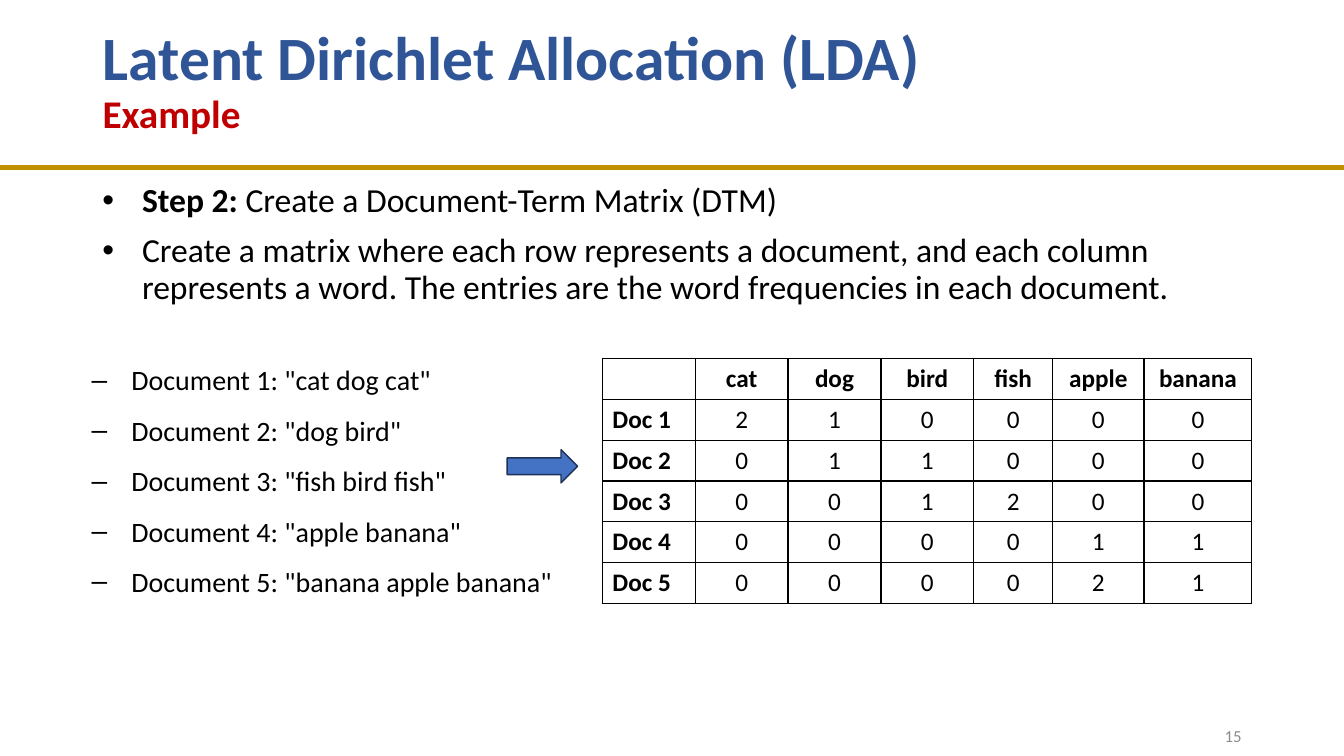
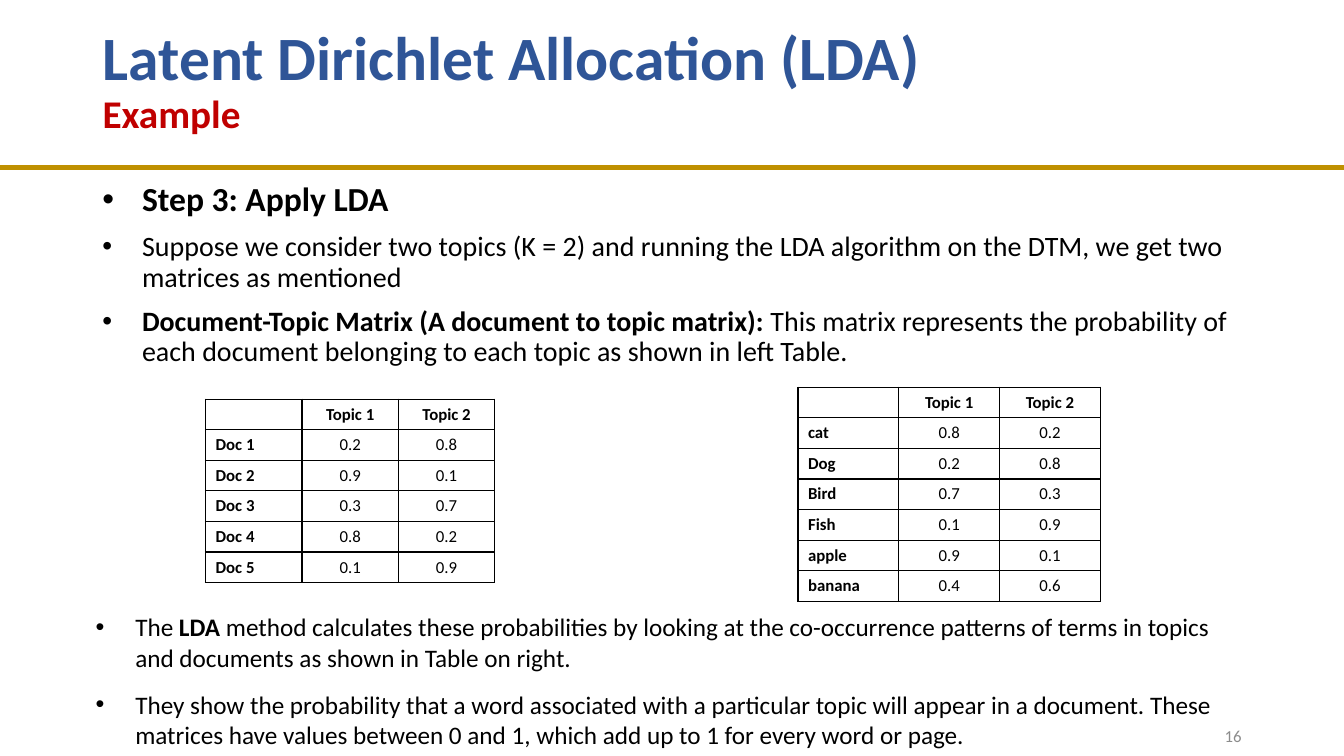
from lxml.etree import SubElement
from pptx import Presentation
from pptx.dml.color import RGBColor
from pptx.enum.shapes import MSO_CONNECTOR, MSO_SHAPE
from pptx.enum.text import MSO_ANCHOR, MSO_AUTO_SIZE, PP_ALIGN
from pptx.oxml.ns import qn
from pptx.util import Cm, Pt

FONT = "Calibri"
BLACK, WHITE = "000000", "FFFFFF"
TITLE_BLUE, SUBTITLE_RED, RULE_GOLD = "2F5597", "C00000", "BF9000"
ARROW_BLUE, ARROW_EDGE, NUMBER_GRAY = "4472C4", "1E3256", "8C8C8C"
SLIDE_WIDTH, SLIDE_HEIGHT = 33.87, 19.05
MARGIN_LEFT, CONTENT_WIDTH = 2.33, 29.21
INDENT = 1


def rgb(color):
    return RGBColor.from_string(color)


def add_text(paragraph, text, size=18, bold=False, color=BLACK):
    run = paragraph.add_run()
    run.text = text
    font = run.font
    font.name, font.size, font.bold = FONT, Pt(size), bold
    font.color.rgb = rgb(color)


def add_frame(slide, box):
    """Add a wrapping text box; box is left, top, width, height in cm."""
    frame = slide.shapes.add_textbox(*map(Cm, box)).text_frame
    frame.word_wrap = True
    return frame


def add_bullets(slide, box, items, bullet="•", line=1, before=0, after=0):
    """Each item is a list of runs: (text, size, bold)."""
    frame = add_frame(slide, box)
    for index, runs in enumerate(items):
        paragraph = frame.add_paragraph() if index else frame.paragraphs[0]
        paragraph.line_spacing = line
        paragraph.space_before, paragraph.space_after = Pt(before), Pt(after)
        properties = paragraph._p.get_or_add_pPr()
        properties.set("marL", str(Cm(INDENT)))
        properties.set("indent", str(-Cm(INDENT)))
        SubElement(properties, qn("a:buFont"), typeface="Arial")
        SubElement(properties, qn("a:buChar"), char=bullet)
        for text, size, bold in runs:
            add_text(paragraph, text, size=size, bold=bold)


def add_body(slide, box, items):
    add_bullets(slide, box, items, line=0.9, before=10)


def add_borders(cell):
    properties = cell._tc.get_or_add_tcPr()
    for side in ("lnL", "lnR", "lnT", "lnB"):
        border = SubElement(properties, qn(f"a:{side}"), w=str(Pt(1)))
        fill = SubElement(border, qn("a:solidFill"))
        SubElement(fill, qn("a:srgbClr"), val=BLACK)


def add_matrix(slide, left, top, widths, row_height, size, header, rows):
    """Add a table with bold headings in its first row and first column."""
    lines = [["", *header], *rows]
    shape = slide.shapes.add_table(len(lines), len(widths), Cm(left), Cm(top),
                                   Cm(sum(widths)), Cm(row_height * len(lines)))
    table = shape.table
    table.first_row = table.horz_banding = False
    for column, width in zip(table.columns, widths):
        column.width = Cm(width)
    for row_index, values in enumerate(lines):
        table.rows[row_index].height = Cm(row_height)
        for column_index, value in enumerate(values):
            cell = table.cell(row_index, column_index)
            add_borders(cell)
            cell.fill.solid()
            cell.fill.fore_color.rgb = rgb(WHITE)
            paragraph = cell.text_frame.paragraphs[0]
            if column_index:
                paragraph.alignment = PP_ALIGN.CENTER
            if value == "":
                SubElement(paragraph._p, qn("a:endParaRPr"), sz=str(size * 100))
            else:
                add_text(paragraph, str(value), size=size,
                         bold=row_index == 0 or column_index == 0)


def add_rule(slide, top):
    rule = slide.shapes.add_connector(MSO_CONNECTOR.STRAIGHT, 0, Cm(top),
                                      Cm(SLIDE_WIDTH), Cm(top))
    rule.line.color.rgb = rgb(RULE_GOLD)
    rule.line.width = Pt(3.25)
    SubElement(rule._element.spPr, qn("a:effectLst"))


def add_title(slide, box):
    title = slide.shapes.title
    title.left, title.top, title.width, title.height = map(Cm, box)
    frame = title.text_frame
    frame.auto_size = MSO_AUTO_SIZE.NONE
    frame.vertical_anchor = MSO_ANCHOR.MIDDLE
    paragraph = frame.paragraphs[0]
    paragraph.alignment = PP_ALIGN.LEFT
    paragraph.line_spacing = 0.9
    add_text(paragraph, "Latent Dirichlet Allocation (LDA)", size=44, bold=True,
             color=TITLE_BLUE)
    paragraph.add_line_break()
    add_text(paragraph, "Example", size=28, bold=True, color=SUBTITLE_RED)


def add_slide_number(slide, box, number):
    frame = add_frame(slide, box)
    frame.vertical_anchor = MSO_ANCHOR.MIDDLE
    paragraph = frame.paragraphs[0]
    paragraph.alignment = PP_ALIGN.RIGHT
    add_text(paragraph, str(number), size=12, color=NUMBER_GRAY)


def add_example_slide(presentation, number):
    """Add a slide with the shared rule, title and number."""
    slide = presentation.slides.add_slide(
        presentation.slide_layouts.get_by_name("Title Only"))
    add_rule(slide, 4.22)
    add_title(slide, (MARGIN_LEFT, 0.23, 24.71, 3.68))
    add_slide_number(slide, (23.92, 18.03, 7.62, 1.02), number)
    return slide


def add_arrow(slide, box):
    arrow = slide.shapes.add_shape(MSO_SHAPE.RIGHT_ARROW, *map(Cm, box))
    arrow.shadow.inherit = False
    arrow.fill.solid()
    arrow.fill.fore_color.rgb = rgb(ARROW_BLUE)
    arrow.line.color.rgb = rgb(ARROW_EDGE)
    arrow.line.width = Pt(1)


def add_term_matrix_slide(presentation):
    slide = add_example_slide(presentation, 15)
    add_body(slide, (MARGIN_LEFT, 4.5, CONTENT_WIDTH, 3.48), [
        [("Step 2: ", 24, True), ("Create a Document-Term Matrix (DTM)", 24, False)],
        [("Create a matrix where each row represents a document, and each column "
          "represents a word. The entries are the word frequencies in each document.",
          24, False)],
    ])
    counts = [(2, 1, 0, 0, 0, 0), (0, 1, 1, 0, 0, 0), (0, 0, 1, 2, 0, 0),
              (0, 0, 0, 0, 1, 1), (0, 0, 0, 0, 2, 1)]
    add_matrix(slide, 15.18, 9.03, [2.34] * 4 + [1.99, 2.3, 2.72], 1.03, 18,
               ["cat", "dog", "bird", "fish", "apple", "banana"],
               [(f"Doc {index}", *row) for index, row in enumerate(counts, 1)])
    documents = ["cat dog cat", "dog bird", "fish bird fish", "apple banana",
                 "banana apple banana"]
    add_bullets(slide, (2.06, 9.02, 12.47, 6.25),
                [[(f'Document {index}: "{words}"', 20, False)]
                 for index, words in enumerate(documents, 1)],
                bullet="–", before=12)
    add_arrow(slide, (12.78, 11.33, 1.78, 0.84))


def add_topic_matrices_slide(presentation):
    slide = add_example_slide(presentation, 16)
    add_body(slide, (MARGIN_LEFT, 4.47, CONTENT_WIDTH, 4.93), [
        [("Step 3: Apply LDA", 24, True)],
        [("Suppose we consider two topics (K = 2) and running the LDA algorithm on "
          "the DTM, we get two matrices as mentioned", 20, False)],
        [("Document-Topic Matrix (A document to topic matrix): ", 20, True),
         ("This matrix represents the probability of each document belonging to "
          "each topic as shown in left Table.", 20, False)],
    ])
    topics = ["Topic 1", "Topic 2"]
    add_matrix(slide, 5.18, 10.06, [2.43] * 3, 0.77, 12, topics, [
        ("Doc 1", 0.2, 0.8), ("Doc 2", 0.9, 0.1), ("Doc 3", 0.3, 0.7),
        ("Doc 4", 0.8, 0.2), ("Doc 5", 0.1, 0.9)])
    add_matrix(slide, 20.11, 9.76, [2.54] * 3, 0.77, 12, topics, [
        ("cat", 0.8, 0.2), ("Dog", 0.2, 0.8), ("Bird", 0.7, 0.3),
        ("Fish", 0.1, 0.9), ("apple", 0.9, 0.1), ("banana", 0.4, 0.6)])
    add_bullets(slide, (2.16, 15.29, CONTENT_WIDTH, 3.76), [
        [("The", 18, False), (" LDA ", 18, True),
         ("method calculates these probabilities by looking at the co-occurrence "
          "patterns of terms in topics and documents as shown in Table on right.",
          18, False)],
        [("They show the probability that a word associated with a particular topic "
          "will appear in a document. These matrices have values between 0 and 1, "
          "which add up to 1 for every word or page.", 18, False)],
    ], after=12)


def main():
    presentation = Presentation()
    presentation.slide_width = Cm(SLIDE_WIDTH)
    presentation.slide_height = Cm(SLIDE_HEIGHT)
    add_term_matrix_slide(presentation)
    add_topic_matrices_slide(presentation)
    presentation.save("out.pptx")


if __name__ == "__main__":
    main()
